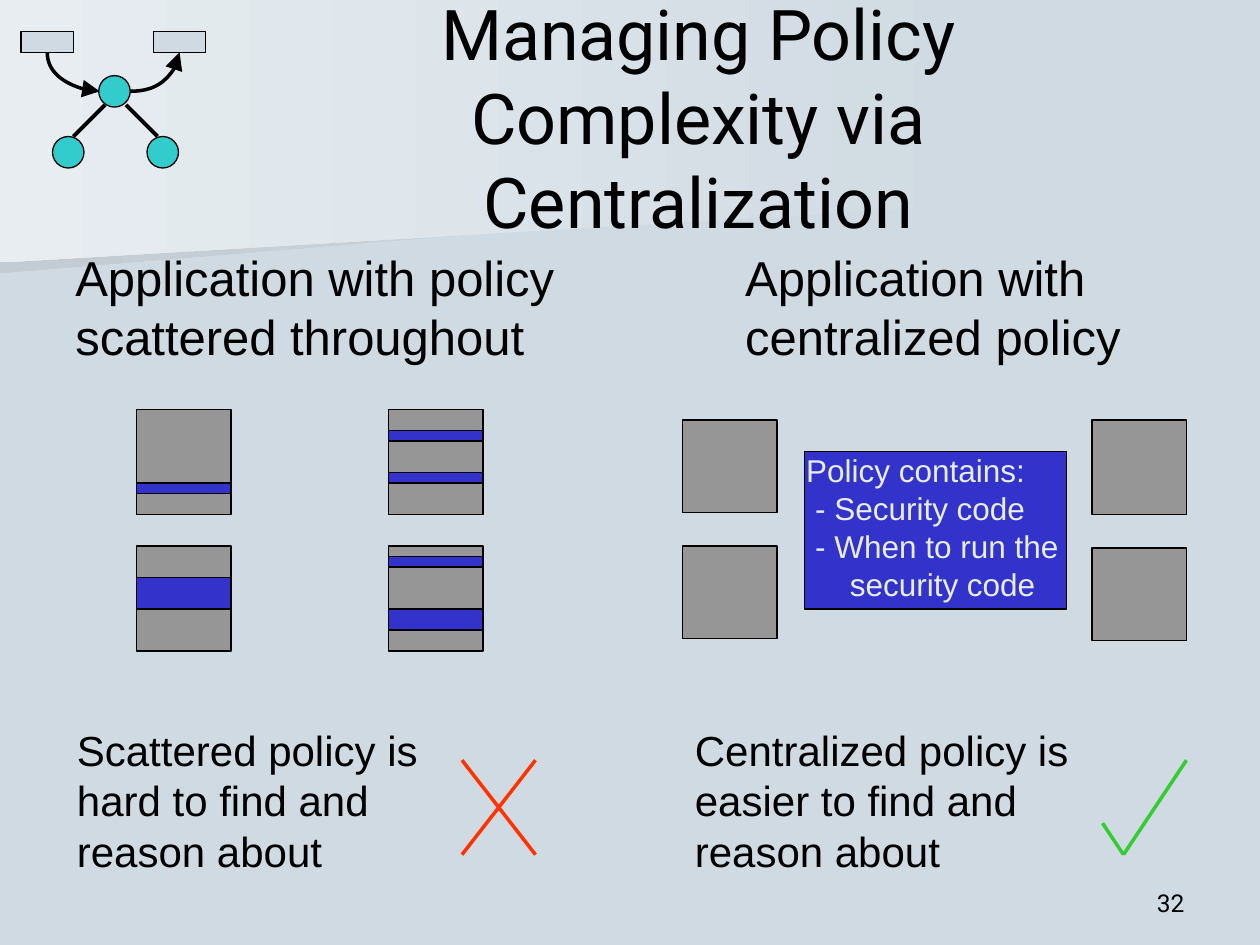
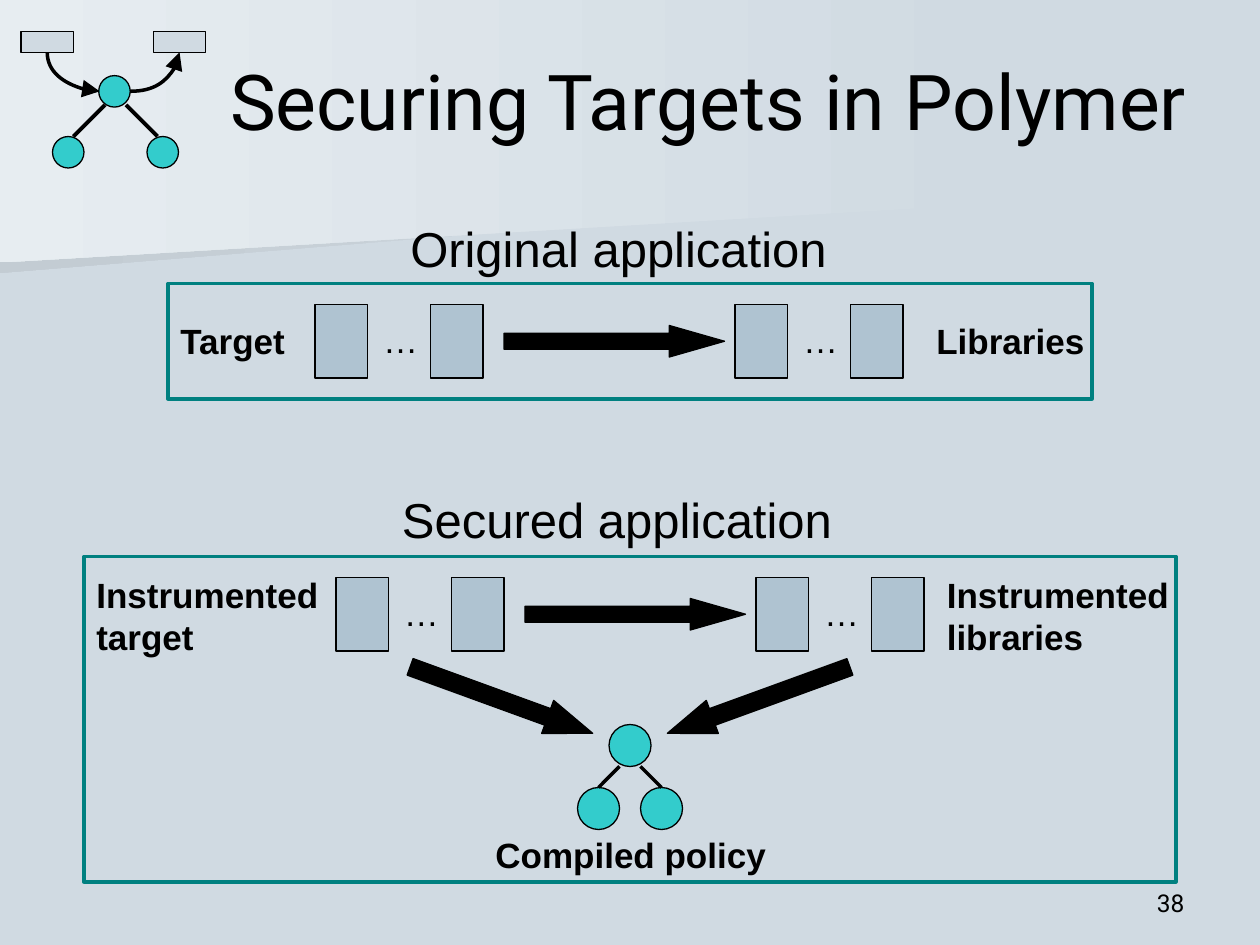
from lxml import etree
from pptx import Presentation
from pptx.dml.color import RGBColor
from pptx.enum.shapes import MSO_CONNECTOR as Link, MSO_SHAPE as Preset
from pptx.enum.text import MSO_ANCHOR as Anchor, MSO_AUTO_SIZE as AutoSize, PP_ALIGN as Align
from pptx.oxml.ns import qn
from pptx.util import Cm, Pt

COLORS = {
    "page": "D0DAE2",
    "beam": "E7EDF1",
    "beam_shade": "C3CCD3",
    "ink": "000000",
    "node": "33CCCC",
    "code": "969696",
    "policy": "3333CC",
    "policy_text": "E7EDF1",
    "module": "AFC3D1",
    "frame": "008080",
    "wrong": "FF3300",
    "right": "33CC33",
}
BODY_FONT, HEAD_FONT = "Arial", "Roboto"
GRID_CM = 2.54 / 12


def grid(units):
    return Cm(units * GRID_CM)


def color(name):
    return RGBColor.from_string(COLORS[name])


def write(frame, text, size=20, font=BODY_FONT, ink="ink", bold=False,
          align=Align.LEFT, indents=()):
    frame.text = text
    for paragraph in frame.paragraphs:
        paragraph.alignment = align
        paragraph.line_spacing = Pt(size * 1.2)
        paragraph.font.size = Pt(size)
        for run in paragraph.runs:
            run.font.size = Pt(size)
            run.font.name = font
            run.font.bold = bold
            run.font.color.rgb = color(ink)
    for paragraph, indent in zip(frame.paragraphs, indents):
        properties = paragraph._p.get_or_add_pPr()
        properties.set("marL", str(Cm(indent)))
        properties.set("indent", "0")


class Deck:
    def __init__(self):
        self.show = Presentation()
        self.show.slide_width, self.show.slide_height = grid(120), grid(90)
        self.slide = None

    def new_slide(self, title, title_box, title_size, number):
        self.slide = self.show.slides.add_slide(self.show.slide_layouts[6])
        background = self.slide.background.fill
        background.solid()
        background.fore_color.rgb = color("page")
        self.beam([(93.36, 18.36), (0, 26), (0, 12.1), (93.5, 12.1), (93.36, 15.4)], "beam_shade")
        self.beam([(95, 19.4), (0, 25), (0, 0), (95, 0)], "beam")
        self.emblem()
        self.box(title, *title_box, anchor=Anchor.MIDDLE,
                 size=title_size, font=HEAD_FONT, align=Align.CENTER)
        self.box(number, 86, 82, 28, 6, anchor=Anchor.BOTTOM,
                 size=14, font=HEAD_FONT, align=Align.RIGHT)

    def beam(self, corners, tint):
        points = [(grid(x), grid(y)) for x, y in corners]
        builder = self.slide.shapes.build_freeform(*points[0])
        builder.add_line_segments(points[1:], close=True)
        band = builder.convert_to_shape()
        band.shadow.inherit = False
        band.line.fill.background()
        band.fill.gradient()
        band.fill.gradient_angle = 180
        for stop, name in zip(band.fill.gradient_stops, ("page", tint)):
            stop.color.rgb = color(name)

    def emblem(self):
        for x, y in ((5, 13), (14, 13), (9.4, 7.2)):
            self.shape(Preset.OVAL, x, y, 3, 3, "node")
        for x in (2, 14.6):
            self.shape(Preset.RECTANGLE, x, 3, 5, 2, "page")
        self.line((7, 13), (10, 10), width=2.25)
        self.line((12, 10), (15, 13), width=2.25)
        self.curve((8.85, 4.35), (5.15, 9.35), rotation=270)
        self.curve((12.4, 8.7), (17.1, 5))

    def shape(self, preset, x, y, w, h, fill=None, outline="ink", width=0.75):
        item = self.slide.shapes.add_shape(preset, grid(x), grid(y), grid(w), grid(h))
        item.shadow.inherit = False
        if fill:
            item.fill.solid()
            item.fill.fore_color.rgb = color(fill)
        else:
            item.fill.background()
        item.line.color.rgb = color(outline)
        item.line.width = Pt(width)
        return item

    def arrow(self, x, y, w, h, head, rotation=0):
        item = self.shape(Preset.RIGHT_ARROW, x, y, w, h, "ink")
        item.adjustments[1] = head
        item.rotation = rotation

    def line(self, start, end, ink="ink", width=2, kind=Link.STRAIGHT):
        link = self.slide.shapes.add_connector(kind, *map(grid, (*start, *end)))
        link.line.color.rgb = color(ink)
        link.line.width = Pt(width)
        etree.SubElement(link._element.spPr, qn("a:effectLst"))
        return link

    def curve(self, start, end, rotation=0):
        link = self.line(start, end, kind=Link.CURVE)
        properties = link._element.spPr
        properties.find(qn("a:prstGeom")).set("prst", "curvedConnector2")
        properties.find(qn("a:xfrm")).set("rot", str(rotation * 60000))
        etree.SubElement(properties.find(qn("a:ln")), qn("a:tailEnd"),
                         type="triangle", w="lg", len="lg")

    def box(self, text, x, y, w, h, anchor=Anchor.TOP, wrap=True, **style):
        frame = self.slide.shapes.add_textbox(grid(x), grid(y), grid(w), grid(h)).text_frame
        frame.word_wrap = wrap
        frame.auto_size = AutoSize.NONE if wrap else AutoSize.SHAPE_TO_FIT_TEXT
        frame.vertical_anchor = anchor
        write(frame, text, **style)

    def label(self, text, x, y, w, h, **style):
        self.box(text, x, y, w, h, wrap=False, **style)

    def application(self, x, y):
        for side in (x, x + 40):
            for offset in (0, 11):
                self.shape(Preset.RECTANGLE, side + offset, y, 5, 7, "module")
            self.label("…", side + 5.3, y + 0.75, 5.8, 5.3)
        self.arrow(x + 18, y + 2, 21, 3, head=1.75)

    def frame(self, x, y, w, h):
        self.shape(Preset.RECTANGLE, x, y, w, h, outline="frame", width=2)


def centralization_slide(deck):
    deck.new_slide("Managing Policy Complexity via Centralization", (24, 3.6, 85, 15), 40, "32")

    deck.label("Application with policy\nscattered throughout", 6, 23, 48, 12.5, size=28)
    deck.label("Application with\ncentralized policy", 69.8, 23, 38.2, 12.5, size=28)

    scattered = [
        (13, 39, [(7, 1)]),
        (37, 39, [(2, 1), (6, 1)]),
        (13, 52, [(3, 3)]),
        (37, 52, [(1, 1), (6, 2)]),
    ]
    for x, y, policies in scattered:
        deck.shape(Preset.RECTANGLE, x, y, 9, 10, "code")
        for offset, height in policies:
            deck.shape(Preset.RECTANGLE, x, y + offset, 9, height, "policy")

    for x, y, height in ((65, 40, 8.8), (65, 52, 8.8), (104, 40, 9), (104, 52.2, 8.8)):
        deck.shape(Preset.RECTANGLE, x, y, 9, height, "code")
    deck.shape(Preset.RECTANGLE, 76.6, 43, 25, 15, "policy")
    deck.label("Policy contains:\n- Security code\n- When to run the\nsecurity code",
               75.6, 42.4, 26.4, 15.6, size=18, ink="policy_text",
               indents=(0, 0.18, 0.18, 0.88))

    deck.label("Scattered policy is\nhard to find and\nreason about", 6.15, 68.4, 36, 15.6, size=24)
    deck.label("Centralized policy is\neasier to find and\nreason about", 65, 68.4, 39, 15.6, size=24)
    deck.line((44, 72.4), (51, 81.4), "wrong")
    deck.line((44, 81.4), (51, 72.4), "wrong")
    deck.line((105, 78.4), (107, 81.4), "right")
    deck.line((107, 81.4), (113, 72.4), "right")


def targets_slide(deck):
    deck.new_slide("Securing Targets in Polymer", (19, 2, 97, 15), 44, "38")

    deck.label("Original application", 37.9, 20.2, 42.5, 6.8, size=28)
    deck.frame(16, 27, 88, 11)
    deck.application(30, 29)
    deck.label("Target", 16, 29.8, 13, 5.3, bold=True)
    deck.label("Libraries", 88, 29.8, 17.5, 5.3, bold=True)

    deck.label("Secured application", 37.1, 46, 44, 6.8, size=28)
    deck.frame(8, 53, 104, 31)
    deck.application(32, 55)
    for text, x in (("Instrumented\ntarget", 8), ("Instrumented\nlibraries", 89)):
        deck.label(text, x, 54, 25, 9.2, bold=True)
    for x, rotation in ((38.5, 20), (63, 160)):
        deck.arrow(x, 65, 18.5, 3.35, head=1.36, rotation=rotation)

    deck.shape(Preset.OVAL, 58, 69, 4, 4, "node")
    for x, root_x in ((55, 59), (61, 61)):
        child = deck.shape(Preset.OVAL, x, 75, 4, 4, "node")
        branch = deck.line((x + 2, 75), (root_x, 73))
        branch.begin_connect(child, 0)
    deck.label("Compiled policy", 46, 78.8, 29, 5.3, bold=True)


def main():
    deck = Deck()
    centralization_slide(deck)
    targets_slide(deck)
    deck.show.save("out.pptx")


if __name__ == "__main__":
    main()
